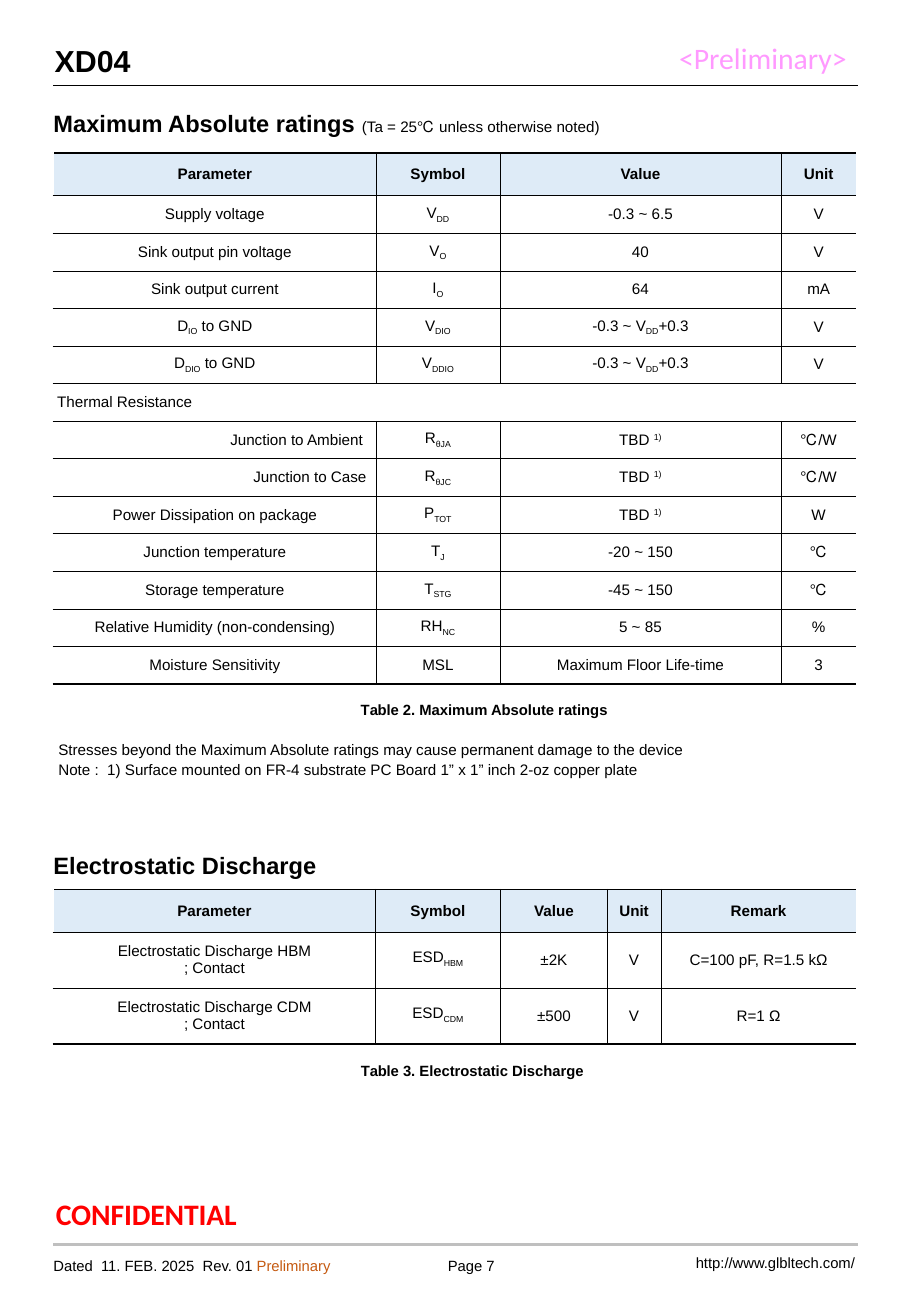
import pptx
import pptx.util
import pptx.dml.color
import pptx.enum.text
import pptx.enum.shapes
import pptx.oxml.ns
import lxml.etree

Inches, Pt = pptx.util.Inches, pptx.util.Pt
RGB = pptx.dml.color.RGBColor
ALIGN = pptx.enum.text.PP_ALIGN
ANCHOR = pptx.enum.text.MSO_ANCHOR
FIT = pptx.enum.text.MSO_AUTO_SIZE
qn = pptx.oxml.ns.qn

BLACK, WHITE = RGB(0, 0, 0), RGB(255, 255, 255)
RED, PINK, ORANGE = RGB(255, 0, 0), RGB(255, 153, 255), RGB(0xC5, 0x5A, 0x11)
GREY, HEADER = RGB(0xBF, 0xBF, 0xBF), RGB(0xDE, 0xEB, 0xF7)

# Page grid, in inches
W, H = 7.5, 10.83
LEFT, WIDTH = 0.44, 6.61
RIGHT = 7.06
HEAD_ROW = 0.35

# Text formats
BODY = dict(size=9, name="Arial", bold=False, color=BLACK)
BOLD = dict(BODY, bold=True)
HEADING = dict(BOLD, size=14)
TITLE = dict(BOLD, size=18)
FOOTER = dict(BODY, size=8.8)
CAPTION = dict(BOLD, size=8.8)
PRELIMINARY = dict(size=17.6, name="Calibri", bold=False, color=PINK)
CONFIDENTIAL = dict(PRELIMINARY, bold=True, color=RED, spc=-0.1)
GAP = (" ", dict(spc=2.45))


def caption(number, text):
    return [[("T", dict(spc=-0.6)), ("abl", dict(spc=-0.1)), (f"e {number}. {text}", {})]]


# Content: place, insets, alignment, anchor, line pitch, format, paragraphs of runs
TOP, MID = ANCHOR.TOP, ANCHOR.MIDDLE
TITLE_BOX = ((0.45, 0.3, 6.65, 0.4), (0, 0.05, 0, 0.05), ALIGN.LEFT, TOP, None, TITLE,
             [[("XD04", {})]])
TEXTS = [
    ((0.45, 9.82, 2.18, 0.31), (0.01, 0.02, 0, 0), ALIGN.LEFT, TOP, None, CONFIDENTIAL,
     [[("CONFIDENTIAL", {})]]),
    ((5.59, 0.33, 1.55, 0.3), (0, 0, 0, 0), ALIGN.LEFT, TOP, None, PRELIMINARY,
     [[("<Preliminary>", {})]]),
    ((5.59, 10.29, 1.45, 0.2), (0, 0, 0, 0), ALIGN.RIGHT, MID, None, FOOTER,
     [[("http://www.glbltech.com/", {})]]),
    ((3.62, 10.34, 0.52, 0.15), (0, 0, 0, 0), ALIGN.CENTER, TOP, None, FOOTER,
     [[("Page 7", {})]]),
    ((LEFT, 10.31, 2.53, 0.21), (0, 0, 0.1, 0), ALIGN.LEFT, MID, None, FOOTER,
     [[("Dated", {}), GAP, ("11. FEB. 2025", {}), GAP, ("Rev. 01 ", {}),
       ("Preliminary", dict(color=ORANGE))]]),
    ((LEFT, 0.85, WIDTH, 0.34), (0, 0.05, 0.1, 0.05), ALIGN.LEFT, TOP, None, HEADING,
     [[("Maximum Absolute ratings ", {}), ("(Ta = 25℃ unless otherwise noted)", BODY)]]),
    ((LEFT, 6.07, WIDTH, 0.33), (0.04, 0.02, 0, 0), ALIGN.LEFT, TOP, None, BODY,
     [[("Stresses beyond the Maximum Absolute ratings may cause permanent damage "
        "to the device", {})],
      [("Note :", {}), GAP,
       ("1) Surface mounted on FR-4 substrate PC Board 1” x 1” inch 2-oz copper plate", {})]]),
    ((LEFT, 6.95, WIDTH, 0.34), (0, 0.05, 0.1, 0.05), ALIGN.LEFT, TOP, None, HEADING,
     [[("Electrostatic Discharge", {})]]),
    ((2.9, 8.72, 1.98, 0.15), (0.07, 0.02, 0, 0), ALIGN.LEFT, TOP, 10.4, CAPTION,
     caption(3, "Electrostatic Discharge")),
    ((2.9, 5.75, 2.2, 0.15), (0.07, 0.02, 0, 0), ALIGN.LEFT, TOP, 10.4, CAPTION,
     caption(2, "Maximum Absolute ratings")),
]
RULES = [(10.24, GREY, 2), (0.7, BLACK, 0.5)]

# Table content: _x_ is a subscript, _^x_ a superscript
RATINGS = [
    ("Parameter", "Symbol", "Value", "Unit"),
    ("Supply voltage", "V_DD_", "-0.3 ~ 6.5", "V"),
    ("Sink output pin voltage", "V_O_", "40", "V"),
    ("Sink output current", "I_O_", "64", "mA"),
    ("D_IO_ to GND", "V_DIO_", "-0.3 ~ V_DD_+0.3", "V"),
    ("D_DIO_ to GND", "V_DDIO_", "-0.3 ~ V_DD_+0.3", "V"),
    ("Thermal Resistance",),
    ("Junction to Ambient", "R_θJA_", "TBD _^1)_", "℃/W"),
    ("Junction to Case", "R_θJC_", "TBD _^1)_", "℃/W"),
    ("Power Dissipation on package", "P_TOT_", "TBD _^1)_", "W"),
    ("Junction temperature", "T_J_", "-20 ~ 150", "℃"),
    ("Storage temperature", "T_STG_", "-45 ~ 150", "℃"),
    ("Relative Humidity (non-condensing)", "RH_NC_", "5 ~ 85", "%"),
    ("Moisture Sensitivity", "MSL", "Maximum Floor Life-time", "3"),
]
DISCHARGE = [
    ("Parameter", "Symbol", "Value", "Unit", "Remark"),
    ("Electrostatic Discharge HBM\n; Contact", "ESD_HBM_", "±2K", "V", "C=100 pF, R=1.5 kΩ"),
    ("Electrostatic Discharge CDM\n; Contact", "ESD_CDM_", "±500", "V", "R=1 Ω"),
]
# Cells that are not centred: alignment, left inset, right inset
ALIGNED = {
    "Thermal Resistance": (ALIGN.LEFT, 0.03, 0),
    "Junction to Ambient": (ALIGN.RIGHT, 0, 0.11),
    "Junction to Case": (ALIGN.RIGHT, 0, 0.08),
}
# Top, height, column widths, line pitch, side inset, rows
TABLES = [
    (1.26, 4.37, (2.66, 1.02, 2.32, 0.62), None, 0.01, RATINGS),
    (7.32, 1.27, (2.65, 1.03, 0.88, 0.44, 1.61), 10, 0.07, DISCHARGE),
]


def add_run(p, text, fmt):
    r = p.add_run()
    r.text = text
    for key in ("name", "bold"):
        setattr(r.font, key, fmt[key])
    r.font.size = Pt(fmt["size"])
    r.font.color.rgb = fmt["color"]
    for key, scale in (("spc", 100), ("baseline", 1000)):
        if key in fmt:
            r._r.get_or_add_rPr().set(key, str(round(fmt[key] * scale)))


def fill_text(tf, paragraphs, fmt, align, pitch=None):
    for i, runs in enumerate(paragraphs):
        p = tf.add_paragraph() if i else tf.paragraphs[0]
        p.alignment = align
        p.space_before = Pt(1 if i and not pitch else 0)
        if pitch:
            p.line_spacing = Pt(pitch)
        for text, extra in runs:
            add_run(p, text, {**fmt, **extra})


def format_box(sp, place, insets, align, anchor, pitch, fmt, paragraphs):
    sp.left, sp.top, sp.width, sp.height = map(Inches, place)
    tf = sp.text_frame
    tf.word_wrap = True
    tf.auto_size = FIT.NONE
    tf.vertical_anchor = anchor
    for side, inset in zip(("left", "top", "right", "bottom"), insets):
        setattr(tf, f"margin_{side}", Inches(inset))
    fill_text(tf, paragraphs, fmt, align, pitch)


def script_runs(line):
    runs = []
    for i, part in enumerate(line.split("_")):
        shift = 30 if part.startswith("^") else -25
        if part:
            runs.append((part.lstrip("^"), dict(baseline=shift) if i % 2 else {}))
    return runs


def set_border(cell, side, color, width):
    ln = lxml.etree.SubElement(cell._tc.get_or_add_tcPr(), qn(f"a:ln{side}"), w=str(Pt(width)))
    if color is None:
        lxml.etree.SubElement(ln, qn("a:noFill"))
    else:
        fill = lxml.etree.SubElement(ln, qn("a:solidFill"))
        lxml.etree.SubElement(fill, qn("a:srgbClr"), val=str(color))


def add_table(s, top, height, widths, pitch, inset, rows):
    n_rows, n_cols = len(rows), len(widths)
    table = s.shapes.add_table(n_rows, n_cols, Inches(LEFT), Inches(top),
                               Inches(WIDTH), Inches(height)).table
    table.first_row = table.horz_banding = False
    for col, width in zip(table.columns, widths):
        col.width = Inches(WIDTH * width / sum(widths))
    for i, row in enumerate(rows):
        table.rows[i].height = Inches((height - HEAD_ROW) / (n_rows - 1) if i else HEAD_ROW)
        whole = len(row) == 1
        for j in range(n_cols):
            cell = table.cell(i, j)
            inner = None if whole else BLACK
            set_border(cell, "L", inner if j else WHITE, 0.25 if j else 1)
            set_border(cell, "R", inner if j < n_cols - 1 else None, 0.25)
            set_border(cell, "T", BLACK, 0.25 if i else 1)
            set_border(cell, "B", BLACK, 0.25 if i < n_rows - 1 else 1)
            if i:
                cell.fill.background()
            else:
                cell.fill.solid()
                cell.fill.fore_color.rgb = HEADER
            cell.vertical_anchor = MID
            cell.margin_top = cell.margin_bottom = 0
            if j < len(row):
                side = inset if i else 0
                align, left, right = ALIGNED.get(row[j], (ALIGN.CENTER, side, side))
                cell.margin_left, cell.margin_right = Inches(left), Inches(right)
                lines = [script_runs(line) for line in row[j].split("\n")]
                fill_text(cell.text_frame, lines, BODY if i else BOLD, align,
                          pitch if i else None)
        if whole:
            table.cell(i, 0).merge(table.cell(i, n_cols - 1))


prs = pptx.Presentation()
prs.slide_width, prs.slide_height = Inches(W), Inches(H)
s = prs.slides.add_slide(prs.slide_layouts[5])

# Title and text
format_box(s.shapes.title, *TITLE_BOX)
for text in TEXTS:
    format_box(s.shapes.add_textbox(0, 0, 0, 0), *text)

# Header and footer rules
for y, color, width in RULES:
    rule = s.shapes.add_connector(pptx.enum.shapes.MSO_CONNECTOR.STRAIGHT,
                                  Inches(LEFT), Inches(y), Inches(RIGHT), Inches(y))
    rule.line.color.rgb = color
    rule.line.width = Pt(width)
    lxml.etree.SubElement(rule._element.spPr, qn("a:effectLst"))

# Tables
for table in TABLES:
    add_table(s, *table)

prs.save("out.pptx")
